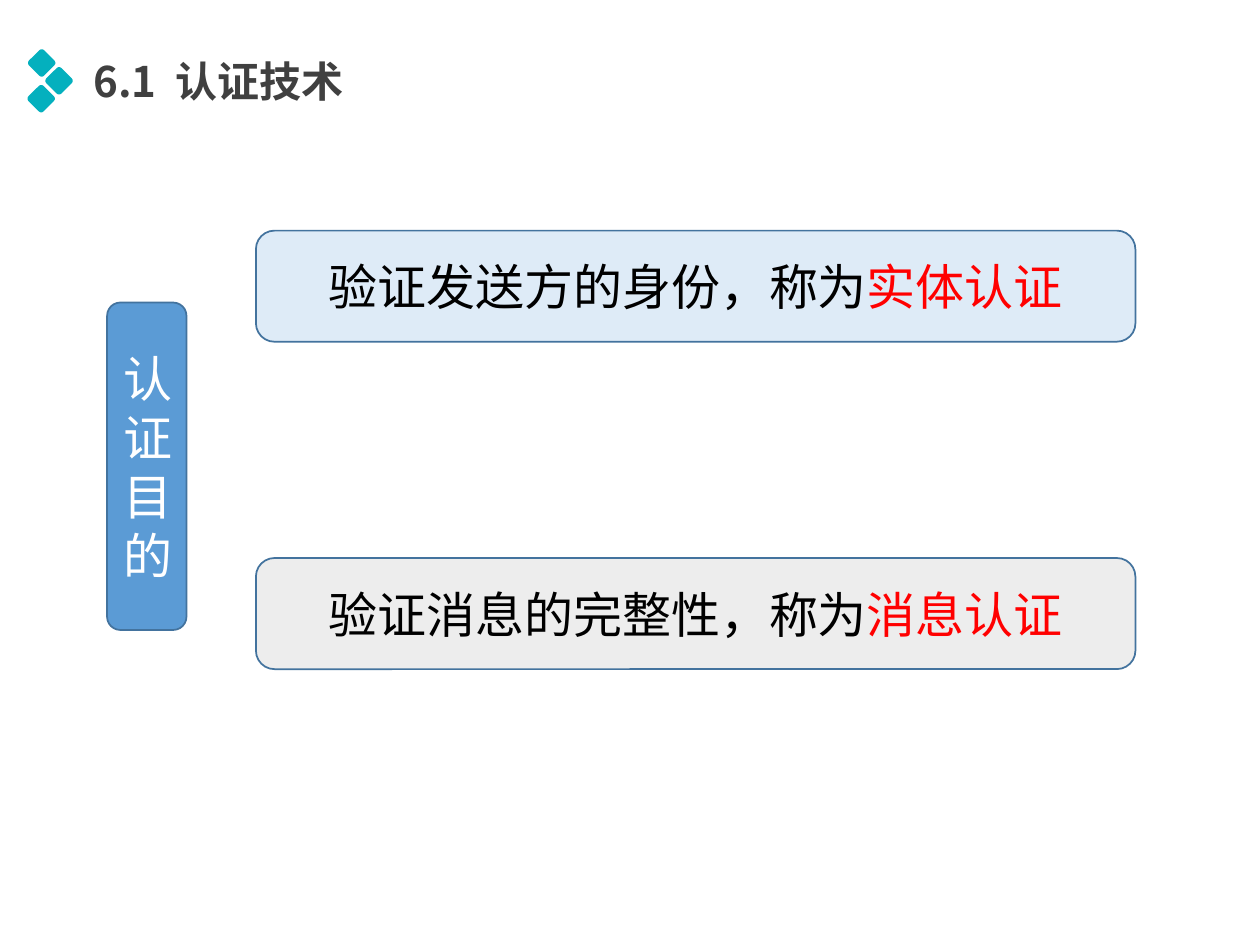
from pptx import Presentation
from pptx.dml.color import RGBColor
from pptx.enum.shapes import MSO_SHAPE
from pptx.enum.text import MSO_ANCHOR, MSO_AUTO_SIZE, PP_ALIGN
from pptx.oxml.ns import qn
from pptx.util import Cm, Pt
from lxml import etree

ROUNDED = MSO_SHAPE.ROUNDED_RECTANGLE
FONT = "Noto Sans CJK SC"
COLORS = {
    "teal": "04B0BE", "title": "404040", "blue": "5B9BD5", "outline": "43739E",
    "pale_blue": "DEEBF7", "pale_gray": "EDEDED",
    "white": "FFFFFF", "black": "000000", "red": "FF0000",
}


def add_rounded(x, y, w, h, fill):
    sp = slide.shapes.add_shape(ROUNDED, Cm(x), Cm(y), Cm(w), Cm(h))
    sp.shadow.inherit = False
    sp.fill.solid()
    sp.fill.fore_color.rgb = RGBColor.from_string(COLORS[fill])
    return sp


def add_run(p, text, size, color, bold=False):
    """Add a run whose Latin and East Asian fonts are both set."""
    r = p.add_run()
    r.text = text
    for name, value in {"size": Pt(size), "bold": bold, "name": FONT}.items():
        setattr(r.font, name, value)
    r.font.color.rgb = RGBColor.from_string(COLORS[color])
    etree.SubElement(r.font._element, qn("a:ea")).set("typeface", FONT)
    return r


prs = Presentation()
prs.slide_width, prs.slide_height = Cm(25.4), Cm(19.05)
slide = prs.slides.add_slide(prs.slide_layouts[5])

# Three small diamonds beside the title
side = 0.43
for cx, cy in [(0.84, 1.27), (1.19, 1.63), (0.83, 1.99)]:
    sp = add_rounded(cx - side / 2, cy - side / 2, side, side, "teal")
    sp.adjustments[0] = 0.15
    sp.rotation = 45
    sp.line.fill.background()

# Title
title = slide.shapes.title
title.left, title.top, title.width, title.height = Cm(1.7), Cm(1.02), Cm(7.7), Cm(1.22)
tf = title.text_frame
frame_format = {
    "margin_left": Cm(0.18), "margin_right": Cm(0.18),
    "margin_top": Cm(0.1), "margin_bottom": Cm(0.1),
    "vertical_anchor": MSO_ANCHOR.MIDDLE, "auto_size": MSO_AUTO_SIZE.NONE,
    "word_wrap": True,
}
for name, value in frame_format.items():
    setattr(tf, name, value)
p = tf.paragraphs[0]
p.alignment = PP_ALIGN.LEFT
add_run(p, "6.1", 24, "title", bold=True)
gap = add_run(p, " ", 24, "title", bold=True)
gap.font._element.set("spc", "540")  # widens the gap after the number
add_run(p, "认证技术", 24, "title", bold=True)

# Purpose box and the two kinds of authentication
boxes = [
    (2.16, 6.1, 1.6, 6.6, "blue", [("认证目的", "white")]),
    (5.16, 4.65, 17.73, 2.24, "pale_blue",
     [("验证发送方的身份，称为", "black"), ("实体认证", "red")]),
    (5.16, 11.25, 17.73, 2.24, "pale_gray",
     [("验证消息的完整性，称为", "black"), ("消息认证", "red")]),
]
for x, y, w, h, fill, runs in boxes:
    sp = add_rounded(x, y, w, h, fill)
    sp.line.color.rgb = RGBColor.from_string(COLORS["outline"])
    sp.line.width = Pt(1)
    tf = sp.text_frame
    tf.word_wrap = True
    tf.vertical_anchor = MSO_ANCHOR.MIDDLE
    p = tf.paragraphs[0]
    p.alignment = PP_ALIGN.CENTER
    for text, color in runs:
        add_run(p, text, 28, color)

prs.save("out.pptx")
